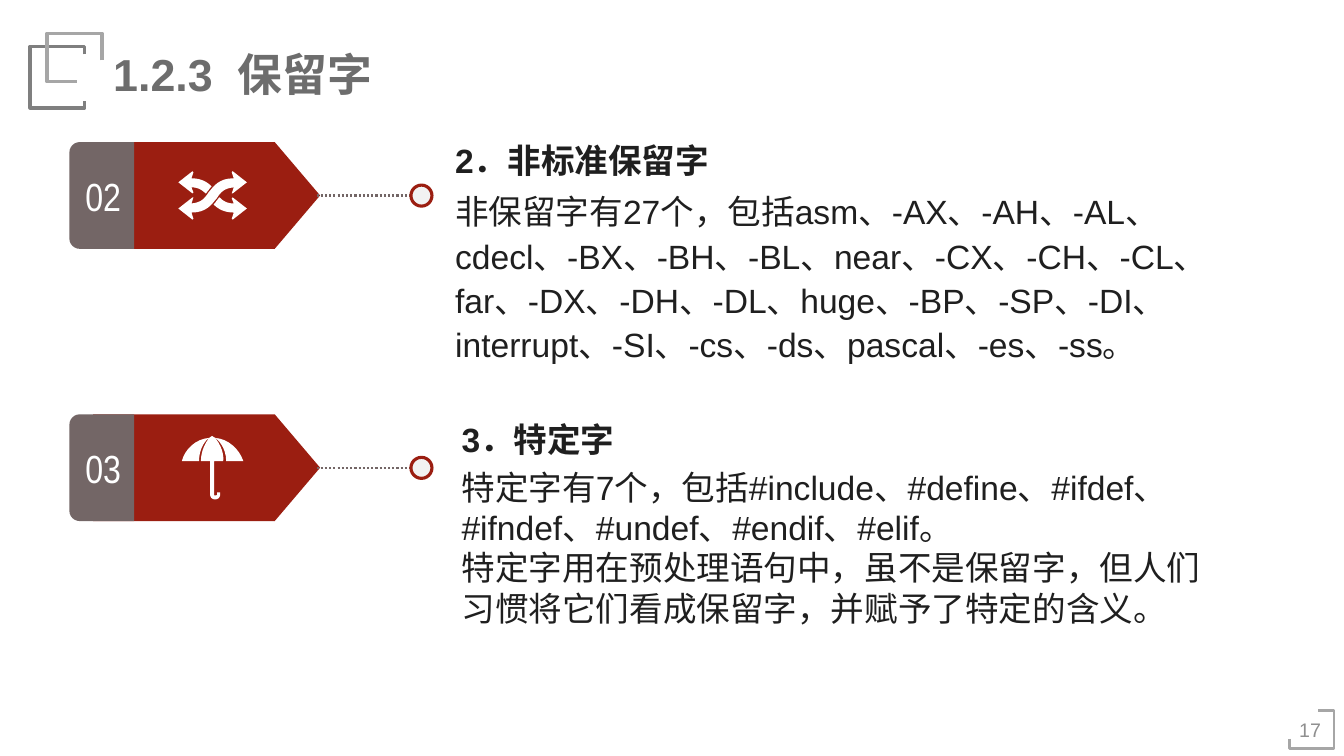
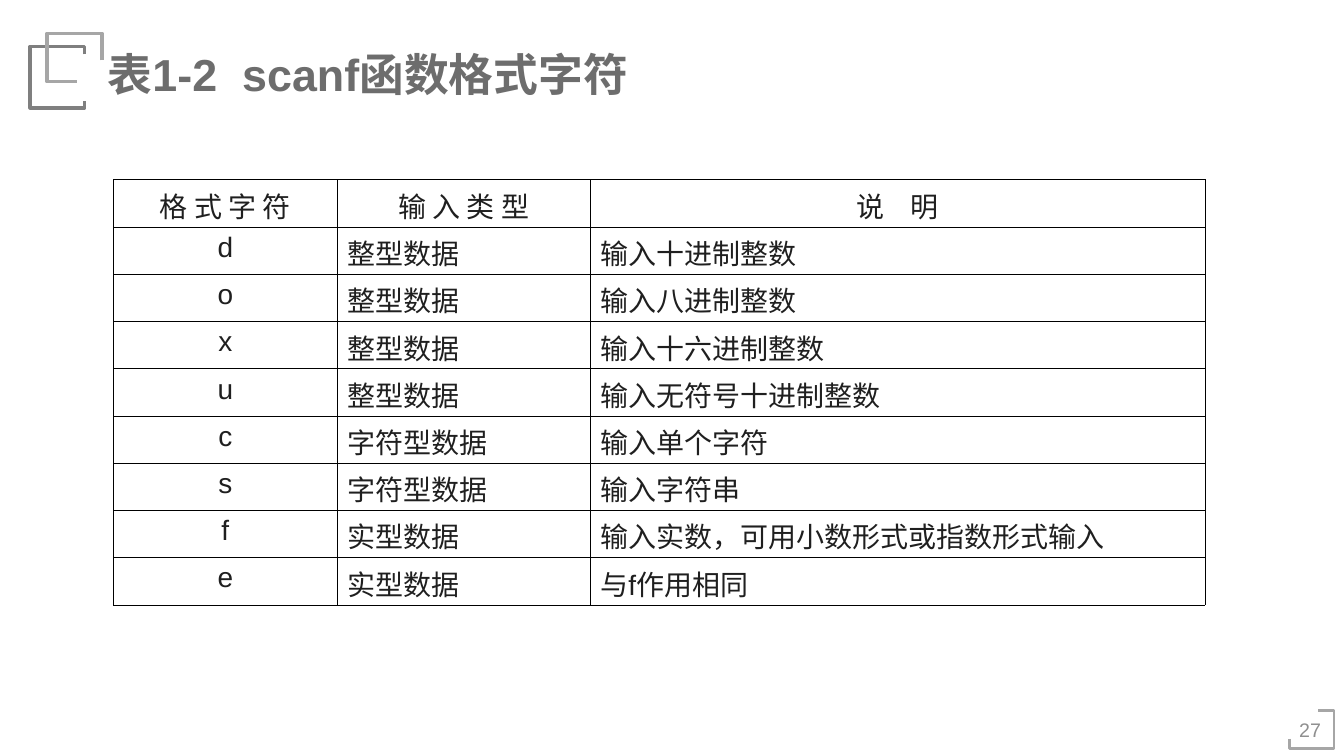
from lxml.etree import SubElement
from pptx import Presentation
from pptx.dml.color import RGBColor
from pptx.enum.dml import MSO_LINE
from pptx.enum.shapes import MSO_CONNECTOR, MSO_SHAPE
from pptx.enum.text import MSO_ANCHOR, MSO_AUTO_SIZE, PP_ALIGN
from pptx.oxml.ns import qn
from pptx.util import Cm, Pt

RED, TAUPE, WHITE, PALE = "9B1E11", "736666", "FFFFFF", "F2F2F2"
INK, TITLE, NUMBER, BLACK = "1F1F1F", "6D6D6D", "8F8F8F", "000000"
BRACKETS = [
    ("7F7F7F", 2.5, [(2.13, 1.37), (2.13, 1.17), (0.76, 1.17),
                     (0.76, 2.72), (2.13, 2.72), (2.13, 2.54)]),
    ("A6A6A6", 2.5, [(2.57, 1.52), (2.57, 0.84), (1.19, 0.84),
                     (1.19, 2.06), (1.93, 2.06)]),
    ("A6A6A6", 2, [(32.51, 18.62), (32.51, 18.87), (33.63, 18.87),
                   (33.63, 17.91), (33.22, 17.91)]),
]
ICON_UNIT = 0.0254


def turn(contour):
    """Turn a contour of the shuffle icon by half a circle."""
    return [tuple((48 if i % 2 else 68) - v for i, v in enumerate(seg)) for seg in contour]


SHUFFLE_TAIL = [(68, 37), (54, 48), (53, 47), (55, 41), (45, 41, 39, 37, 35, 33),
                (37, 31, 38, 29, 39, 28), (40, 27, 40, 26, 41, 26),
                (44, 29, 48, 32, 55, 32), (53, 27), (54, 26)]
SHUFFLE_HALF = [(38, 27), (42, 21, 45, 17, 55, 16), (53, 22), (54, 22), (68, 11),
                (54, 0), (53, 1), (55, 7), (40, 7, 35, 15, 30, 21)]
SHUFFLE = (68, 48, [SHUFFLE_TAIL, turn(SHUFFLE_TAIL),
                    SHUFFLE_HALF + turn(SHUFFLE_HALF)[1:]])
UMBRELLA = (61, 63, [
    [(0, 25), (3, 13, 14, 3, 27, 2), (25, 3, 17, 11, 17, 25)],
    [(19, 25), (19, 25, 18, 14, 27, 2), (30, 0), (33, 2), (43, 14, 41, 25, 41, 25)],
    [(61, 25), (57, 13, 46, 3, 33, 2), (35, 3, 44, 11, 44, 25)],
    [(28, 25), (28, 58), (28, 61, 30, 63, 33, 63), (36, 63, 38, 61, 38, 58), (38, 56),
     (35, 56), (35, 58), (35, 59, 34, 59, 33, 59), (32, 59, 32, 59, 32, 58), (32, 25)],
])
SECTIONS = [
    ("02", SHUFFLE, 3.58, (11.22, 3.4, 19.58, 5.84), 1.1, "2．非标准保留字",
     ["非保留字有27个，包括asm、-AX、-AH、-AL、cdecl、-BX、-BH、-BL、near、-CX、-CH、-CL、"
      "far、-DX、-DH、-DL、huge、-BP、-SP、-DI、interrupt、-SI、-cs、-ds、pascal、-es、-ss。"]),
    ("03", UMBRELLA, 10.44, (11.38, 10.44, 19.5, 4.32), 1, "3．特定字",
     ["特定字有7个，包括#include、#define、#ifdef、#ifndef、#undef、#endif、#elif。",
      "特定字用在预处理语句中，虽不是保留字，但人们习惯将它们看成保留字，并赋予了特定的含义。"]),
]
FORMATS = [
    (("格 式 字 符",), ("输 入 类 型",), ("说", " ", "明")),
    (("d",), ("整型数据",), ("输入十进制整数",)),
    (("o",), ("整型数据",), ("输入八进制整数",)),
    (("x",), ("整型数据",), ("输入十六进制整数",)),
    (("u",), ("整型数据",), ("输入无符号十进制整数",)),
    (("c",), ("字符型数据",), ("输入单个字符",)),
    (("s",), ("字符型数据",), ("输入字符串",)),
    (("f",), ("实型数据",), ("输入实数，可用小数形式或指数形式输入",)),
    (("e",), ("实型数据",), ("与f作用相同",)),
]


def rgb(code):
    """Return the colour for a hex string."""
    return RGBColor.from_string(code)


def cms(*values):
    """Convert numbers to centimetre lengths."""
    return [Cm(v) for v in values]


def add_runs(p, texts, size, color, bold=False, font="Arial", gap=0):
    """Add runs to a paragraph, widening each lone space by gap points."""
    for text in texts:
        r = p.add_run()
        r.text = text
        r.font.name, r.font.size, r.font.bold = font, Pt(size), bold
        r.font.color.rgb = rgb(color)
        if text == " ":
            r.font._element.set("spc", str(round(gap * 100)))


def fill_holder(ph, box, paras, size, color, bold=False, spacing=1, gap=0):
    """Move a placeholder and fill it with plain left-aligned paragraphs."""
    ph.left, ph.top, ph.width, ph.height = cms(*box)
    tf = ph.text_frame
    tf.word_wrap, tf.auto_size = True, MSO_AUTO_SIZE.NONE
    tf.vertical_anchor = MSO_ANCHOR.TOP
    for i, texts in enumerate(paras):
        p = tf.add_paragraph() if i else tf.paragraphs[0]
        pPr = p._p.get_or_add_pPr()
        pPr.set("marL", "0")
        pPr.set("indent", "0")
        SubElement(pPr, qn("a:buNone"))
        p.alignment, p.space_before, p.line_spacing = PP_ALIGN.LEFT, Pt(0), spacing
        add_runs(p, texts, size, color, bold, gap=gap)


def paint(sp, fill=None, line=None, width=1):
    """Set fill and line of a shape and take off its shadow."""
    sp.shadow.inherit = False
    if fill:
        sp.fill.solid()
        sp.fill.fore_color.rgb = rgb(fill)
    else:
        sp.fill.background()
    if line:
        sp.line.color.rgb = rgb(line)
        sp.line.width = Pt(width)
    else:
        sp.line.fill.background()


def add_brackets(prs, s):
    """Draw the corner brackets and move them to the slide master."""
    tree = prs.slide_master.element.cSld.spTree
    for i, (color, width, pts) in enumerate(BRACKETS):
        start, *rest = [cms(*pt) for pt in pts]
        builder = s.shapes.build_freeform(*start)
        builder.add_line_segments(rest, close=False)
        sp = builder.convert_to_shape()
        paint(sp, line=color, width=width)
        sp.element.nvSpPr.cNvPr.set("id", str(100 + i))
        tree.append(sp.element)


def add_turned(s, kind, x, y, w, h, fill):
    """Add a shape turned a quarter left that covers the given box."""
    sp = s.shapes.add_shape(kind, *cms(x + (w - h) / 2, y + (h - w) / 2, h, w))
    sp.rotation = 270
    paint(sp, fill)
    return sp


def flatten(contour, steps=8):
    """Turn a contour of points and cubic curves into points."""
    pts = []
    for seg in contour:
        if len(seg) == 2:
            pts.append(seg)
            continue
        ctrl = [pts[-1], seg[:2], seg[2:4], seg[4:]]
        for k in range(1, steps + 1):
            t = k / steps
            weights = ((1 - t) ** 3, 3 * t * (1 - t) ** 2, 3 * t * t * (1 - t), t ** 3)
            pts.append(tuple(sum(wt * c[a] for wt, c in zip(weights, ctrl)) for a in (0, 1)))
    return pts


def add_icon(s, icon, cx, cy):
    """Draw a white icon centred on a point."""
    w, h, contours = icon
    builder = None
    for contour in contours:
        start, *rest = [cms(cx + (x - w / 2) * ICON_UNIT, cy + (y - h / 2) * ICON_UNIT)
                        for x, y in flatten(contour)]
        if builder is None:
            builder = s.shapes.build_freeform(*start)
        else:
            builder.move_to(*start)
        builder.add_line_segments(rest)
    paint(builder.convert_to_shape(), WHITE)


def add_banner(s, x, y, number, icon, h=2.69):
    """Draw a numbered banner with its icon, dotted line and ring."""
    mid = y + h / 2
    add_turned(s, MSO_SHAPE.FLOWCHART_OFFPAGE_CONNECTOR, x + 0.6, y, 5.72, h, RED)
    tag = add_turned(s, MSO_SHAPE.ROUND_2_SAME_RECTANGLE, x, y, 1.63, h, TAUPE)
    tag.adjustments[0] = 0.16
    tf = tag.text_frame
    tf.margin_left = tf.margin_right = Cm(0.13)
    tf.margin_top = tf.margin_bottom = Cm(0.1)
    tf.vertical_anchor = MSO_ANCHOR.MIDDLE
    tag.element.txBody.bodyPr.set("vert", "vert")
    p = tf.paragraphs[0]
    p.alignment = PP_ALIGN.CENTER
    add_runs(p, [number], 28, WHITE, font="Arial Narrow")
    add_icon(s, icon, x + 3.61, mid)
    link = s.shapes.add_connector(MSO_CONNECTOR.STRAIGHT, *cms(x + 6.23, mid, x + 8.61, mid))
    link.line.color.rgb = rgb(TAUPE)
    link.line.width, link.line.dash_style = Pt(1.5), MSO_LINE.ROUND_DOT
    SubElement(link.element.spPr, qn("a:effectLst"))
    ring = s.shapes.add_shape(MSO_SHAPE.OVAL, *cms(x + 8.61, mid - 0.26, 0.53, 0.53))
    paint(ring, PALE, RED, 2.25)


def add_slide(prs, layout, title, box, number):
    """Add a slide with its title and page number."""
    s = prs.slides.add_slide(prs.slide_layouts.get_by_name(layout))
    fill_holder(s.shapes.title, box, [title], 32, TITLE, True, gap=8.9)
    tf = s.shapes.add_textbox(*cms(32.48, 17.7, 1.09, 1.37)).text_frame
    tf.word_wrap, tf.vertical_anchor = True, MSO_ANCHOR.MIDDLE
    tf.margin_left = tf.margin_right = Cm(0.18)
    tf.margin_top = tf.margin_bottom = Cm(0.1)
    p = tf.paragraphs[0]
    p.alignment = PP_ALIGN.CENTER
    add_runs(p, [number], 14, NUMBER)
    return s


def add_section(s, holders, number, icon, y, box, spacing, heading, paras):
    """Place a banner with the heading and text beside it."""
    left, top, w, h = box
    head, body = holders
    fill_holder(head, (left, top, 7.54, 1.27), [[heading]], 24, INK, True)
    fill_holder(body, (left, top + 1.19, w, h), [[t] for t in paras], 24, INK, spacing=spacing)
    add_banner(s, 1.75, y, number, icon)


def style_cell(cell):
    """Give a cell thin black borders and no fill."""
    tcPr = cell._tc.get_or_add_tcPr()
    for side in ("a:lnL", "a:lnR", "a:lnT", "a:lnB"):
        ln = SubElement(tcPr, qn(side), w=str(Pt(0.45)))
        SubElement(SubElement(ln, qn("a:solidFill")), qn("a:srgbClr"), val=BLACK)
    cell.fill.background()


def add_format_table(s, x, y, widths, row_h):
    """Build the table of format characters."""
    frame = s.shapes.add_table(len(FORMATS), len(widths),
                               *cms(x, y, sum(widths), row_h * len(FORMATS)))
    tbl = frame.table
    tbl.first_row = tbl.horz_banding = False
    for col, w in zip(tbl.columns, widths):
        col.width = Cm(w)
    for i, row in enumerate(FORMATS):
        tbl.rows[i].height = Cm(row_h)
        for j, texts in enumerate(row):
            cell = tbl.cell(i, j)
            style_cell(cell)
            p = cell.text_frame.paragraphs[0]
            p.alignment = PP_ALIGN.LEFT if i and j else PP_ALIGN.CENTER
            add_runs(p, texts, 20, INK, gap=14)


def main():
    """Build both slides and save them."""
    prs = Presentation()
    prs.slide_width, prs.slide_height = cms(33.88, 19.05)
    s = add_slide(prs, "Comparison", ("1.2.3", " ", "保留字"), (2.6, 1.05, 8.5, 1.6), "17")
    add_brackets(prs, s)
    _, *holders = s.placeholders
    for i, section in enumerate(SECTIONS):
        add_section(s, holders[2 * i:2 * i + 2], *section)
    s = add_slide(prs, "Title Only", ("表1-2", " ", "scanf函数格式字符"),
                  (2.46, 1.05, 16, 1.6), "27")
    add_format_table(s, 2.86, 4.53, (5.64, 6.38, 15.5), 1.19)
    prs.save("out.pptx")


if __name__ == "__main__":
    main()
